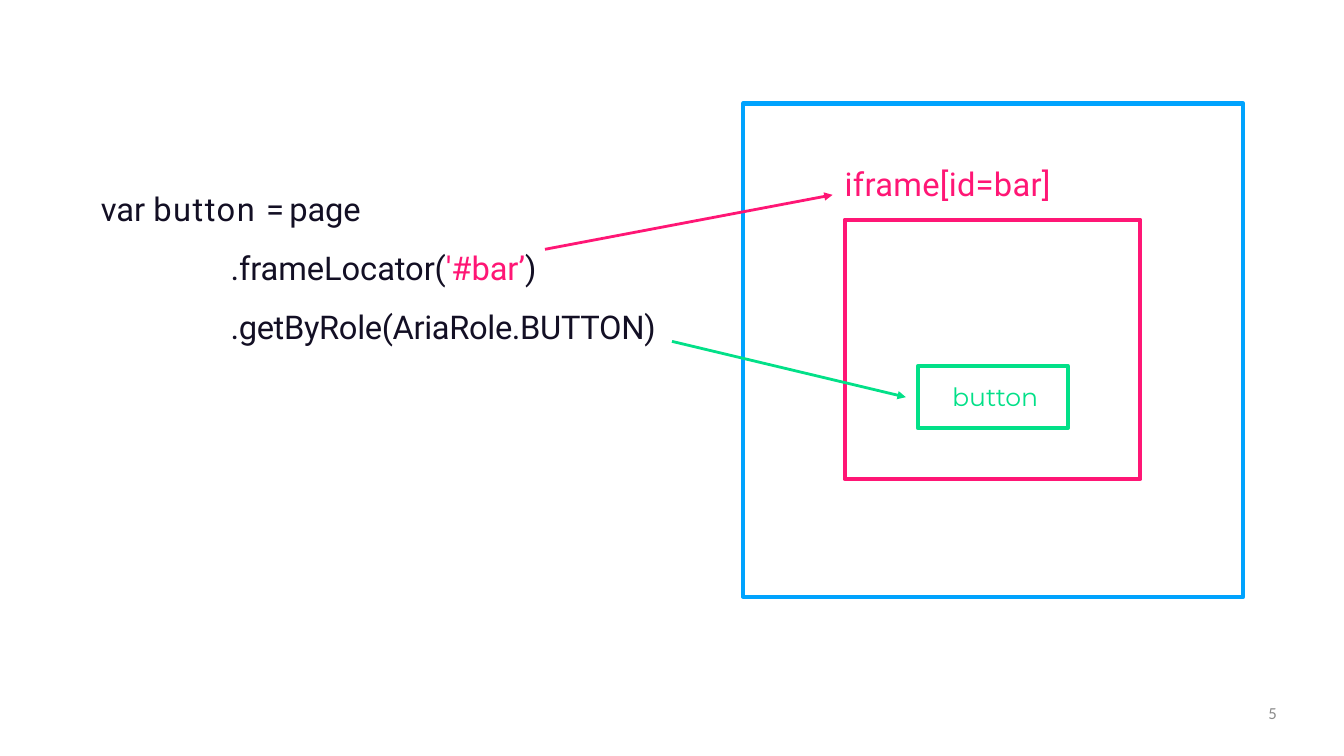
import pptx
import pptx.util
import pptx.dml.color
import pptx.enum.shapes
import pptx.enum.text
import pptx.oxml.ns
from lxml import etree

Inches, Pt = pptx.util.Inches, pptx.util.Pt
ALIGN = pptx.enum.text.PP_ALIGN
COLORS = {"page": "00A3FE", "frame": "FF1675", "button": "02E088",
          "code": "130F24", "number": "8C8C8C"}

FRAMES = [
    ("page", (11.06, 1.54, 7.44, 7.34)),
    ("frame", (12.57, 3.27, 4.4, 3.86)),
    ("button", (13.66, 5.45, 2.23, 0.92)),
]
ARROWS = [
    ("frame", (8.11, 3.71), (12.39, 2.9)),
    ("button", (10, 5.08), (13.48, 5.91)),
]
FORMATS = {
    "title": {"size": Pt(35), "name": "Roboto", "bold": False},
    "code": {"size": Pt(35), "name": "Roboto", "bold": False},
    "button": {"size": Pt(27), "name": "Montserrat"},
    "number": {"size": Pt(18), "name": "Calibri"},
}
TITLE = [(0.01, 0, [("iframe[id=bar]", "frame", 0.3)])]
CODE = [
    (0.01, 0, [("var ", "code", 0), ("button ", "code", 1.6),
               ("= ", "code", -2.9), ("page", "code", -0.2)]),
    (1.94, 21, [(".frameLocator(", "code", -0.1),
                ("'#bar’", "frame", -0.1), (")", "code", -0.1)]),
    (1.94, 21, [(".getByRole(AriaRole.BUTTON)", "code", -0.4)]),
]
BUTTON = [(0.51, 0, [("button", "button", -0.1)])]
NUMBER = [(0, 0, [("5", "number", 0)])]


def rgb(name):
    return pptx.dml.color.RGBColor.from_string(COLORS[name])


def place(shape, box):
    for key, value in zip(("left", "top", "width", "height"), box):
        setattr(shape, key, Inches(value))


def write(shape, paragraphs, style, inset=0, align=ALIGN.LEFT):
    tf = shape.text_frame
    settings = {"word_wrap": True, "auto_size": pptx.enum.text.MSO_AUTO_SIZE.NONE,
                "vertical_anchor": pptx.enum.text.MSO_ANCHOR.TOP,
                "margin_left": 0, "margin_right": 0, "margin_bottom": 0,
                "margin_top": Inches(inset)}
    for key, value in settings.items():
        setattr(tf, key, value)
    for i, (indent, before, runs) in enumerate(paragraphs):
        p = tf.add_paragraph() if i else tf.paragraphs[0]
        p.alignment, p.space_before = align, Pt(before)
        pPr = p._p.get_or_add_pPr()
        pPr.set("marL", str(Inches(indent)))
        pPr.set("indent", "0")
        etree.SubElement(pPr, pptx.oxml.ns.qn("a:buNone"))
        for text, color, spacing in runs:
            r = p.add_run()
            r.text = text
            for key, value in FORMATS[style].items():
                setattr(r.font, key, value)
            r.font.color.rgb = rgb(color)
            r._r.get_or_add_rPr().set("spc", str(round(spacing * 100)))


def add_frame(s, color, box):
    sp = s.shapes.add_shape(pptx.enum.shapes.MSO_SHAPE.RECTANGLE, *map(Inches, box))
    sp.shadow.inherit = False
    sp.fill.background()
    sp.line.color.rgb = rgb(color)
    sp.line.width = Pt(4.5)
    return sp


def add_arrow(s, color, start, end):
    line = s.shapes.add_connector(pptx.enum.shapes.MSO_CONNECTOR.STRAIGHT,
                                  *map(Inches, start + end))
    line.line.color.rgb = rgb(color)
    line.line.width = Pt(3)
    etree.SubElement(line.line._get_or_add_ln(), pptx.oxml.ns.qn("a:tailEnd"),
                     type="triangle")
    etree.SubElement(line._element.spPr, pptx.oxml.ns.qn("a:effectLst"))


def main():
    prs = pptx.Presentation()
    prs.slide_width, prs.slide_height = Inches(20), Inches(11.25)
    s = prs.slides.add_slide(prs.slide_layouts[1])
    title, body = s.placeholders
    place(title, (12.56, 2.43, 3.13, 0.61))
    write(title, TITLE, "title", 0.01)
    place(body, (1.49, 2.5, 8.51, 2.65))
    write(body, CODE, "code", 0.31)
    frames = {color: add_frame(s, color, box) for color, box in FRAMES}
    write(frames["button"], BUTTON, "button", 0.22)
    for arrow in ARROWS:
        add_arrow(s, *arrow)
    number = s.shapes.add_textbox(*map(Inches, (14.4, 10.46, 4.6, 0.56)))
    write(number, NUMBER, "number", align=ALIGN.RIGHT)
    prs.save("out.pptx")


if __name__ == "__main__":
    main()
